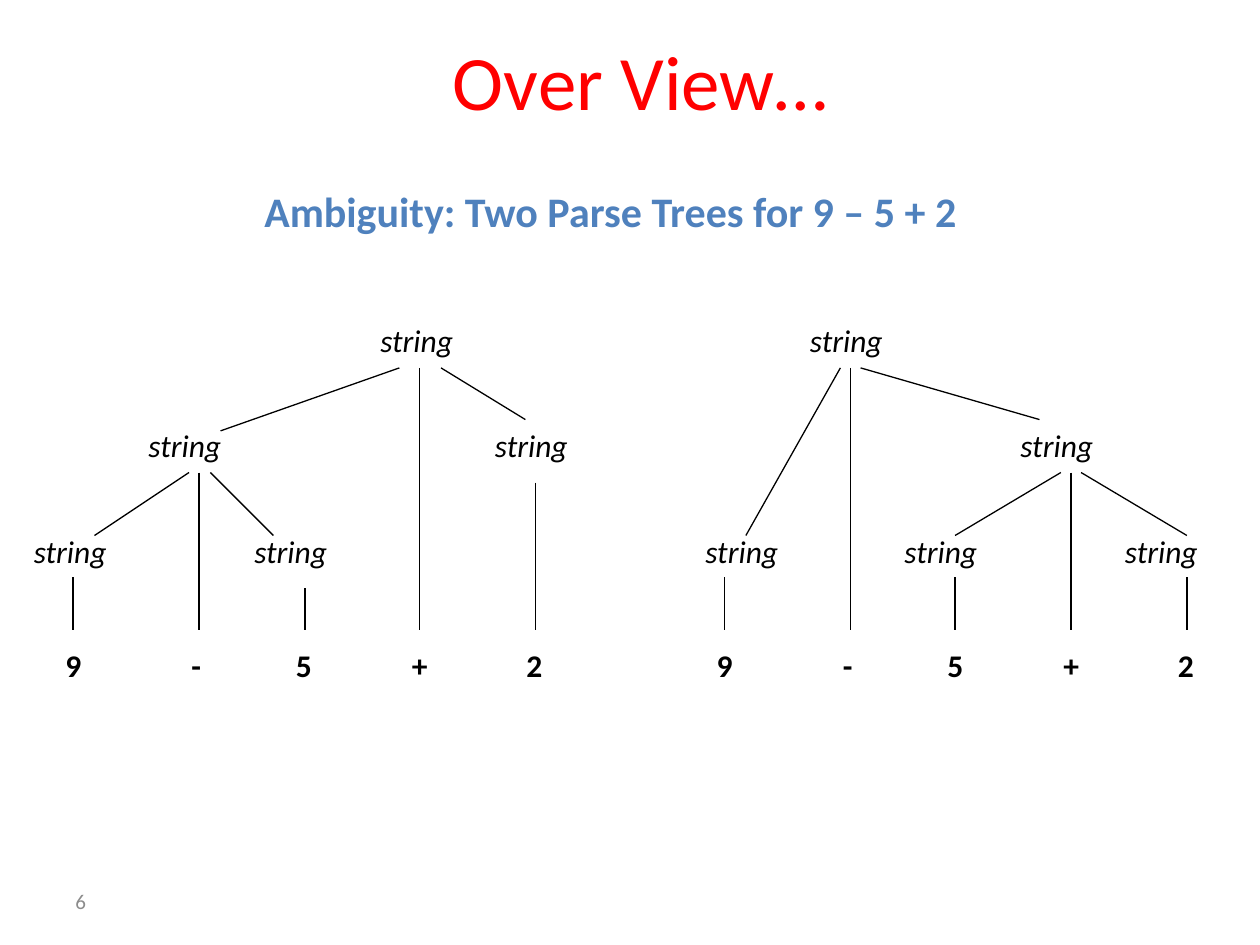
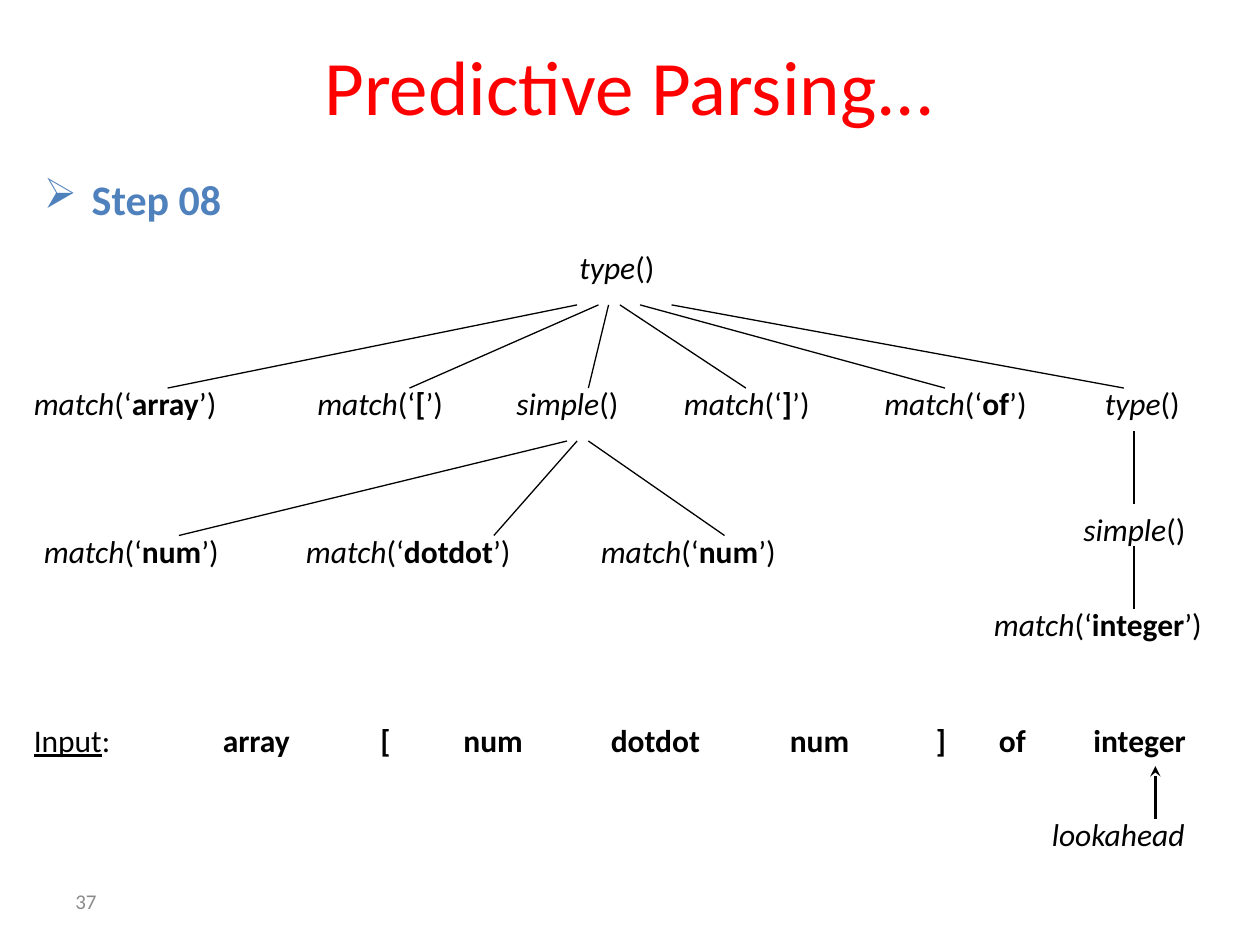
from lxml import etree
from pptx import Presentation
from pptx.dml.color import RGBColor
from pptx.enum.shapes import MSO_CONNECTOR as Connector
from pptx.enum.text import MSO_ANCHOR as Anchor, MSO_AUTO_SIZE as AutoSize, PP_ALIGN as Align
from pptx.oxml.ns import qn
from pptx.util import Inches, Pt

RED = RGBColor(0xFF, 0x00, 0x00)
BLUE = RGBColor(0x4F, 0x81, 0xBD)
GREY = RGBColor(0x8C, 0x8C, 0x8C)
BLACK = RGBColor(0x00, 0x00, 0x00)
FONT = "Calibri"
ITALIC, BOLD, PLAIN = {"italic": True}, {"bold": True}, {}

TREE_SHIFT = 5.17
LEAF_TOP, LEAF_LINE = 5.08, 5
LEAVES = [("9", 0.42, 0.37), ("-", 1.42, 0.31), ("5", 2.25, 0.37), ("+", 3.17, 0.39), ("2", 4.08, 0.37)]

LEFT_NODES = [(2.92, 2.5), (3.83, 3.33), (1.08, 3.33), (0.17, 4.17), (1.92, 4.17)]
LEFT_BRANCHES = [
    (3.17, 2.92, 1.75, 3.42), (3.5, 2.92, 4.17, 3.33),
    (1.5, 3.75, 0.75, 4.25), (1.67, 3.75, 2.17, 4.25),
]
LEFT_STEMS = [(0.58, 4.58), (1.58, 3.75), (2.42, 4.67), (3.33, 2.92), (4.25, 3.83)]

RIGHT_NODES = [(6.33, 2.5), (8, 3.33), (5.5, 4.17), (7.08, 4.17), (8.83, 4.17)]
RIGHT_BRANCHES = [
    (6.83, 2.92, 8.25, 3.33), (6.67, 2.92, 5.92, 4.25),
    (8.42, 3.75, 7.58, 4.25), (8.58, 3.75, 9.42, 4.25),
]
RIGHT_STEMS = [(5.75, 4.58), (6.75, 2.92), (7.58, 4.58), (8.5, 3.75), (9.42, 4.58)]

INPUT_TOKENS = [
    ("array", 1.67, 1), ("[", 2.92, 0.31), ("num", 3.58, 0.85), ("dotdot", 4.75, 1.13),
    ("num", 6.17, 0.85), ("]", 7.33, 0.31), ("of", 7.83, 0.48), ("integer", 8.58, 1.2),
]
MATCH_CALLS = [
    ("array", 0.17, 3, 2.26), ("[", 2.42, 3, 1.57), ("]", 5.33, 3, 1.57), ("of", 6.92, 3, 1.74),
    ("num", 0.25, 4.17, 2.11), ("dotdot", 2.33, 4.17, 2.39), ("num", 4.67, 4.17, 2.11),
    ("integer", 7.79, 4.75, 2.04),
]
PLAIN_CALLS = [("type", 4.5, 1.92, 0.98), ("simple", 4, 3, 1.29), ("type", 8.67, 3, 0.98), ("simple", 8.5, 4, 1.08)]


def add_text(slide, box, runs, size=18, color=BLACK, align=Align.LEFT,
             anchor=Anchor.TOP, wrap=False, bullet=None):
    """Add a text box whose runs are (text, font format) pairs."""
    frame = slide.shapes.add_textbox(*map(Inches, box)).text_frame
    frame.word_wrap = wrap
    frame.auto_size = AutoSize.NONE if wrap else AutoSize.SHAPE_TO_FIT_TEXT
    frame.vertical_anchor = anchor
    paragraph = frame.paragraphs[0]
    paragraph.alignment = align
    if bullet:
        properties = paragraph._p.get_or_add_pPr()
        properties.set("marL", str(Inches(0.38)))
        properties.set("indent", str(-Inches(0.38)))
        etree.SubElement(properties, qn("a:buChar"), char=bullet)
    for text, font_format in runs:
        run = paragraph.add_run()
        run.text = text
        run.font.name, run.font.size = FONT, Pt(size)
        run.font.color.rgb = color
        for attribute, value in font_format.items():
            setattr(run.font, attribute, value)


def add_line(slide, x1, y1, x2, y2, width=0.75, arrow=False):
    """Draw a black straight line, optionally with an arrowhead at its start."""
    line = slide.shapes.add_connector(Connector.STRAIGHT, *map(Inches, (x1, y1, x2, y2)))
    line.line.color.rgb = BLACK
    line.line.width = Pt(width)
    if arrow:
        etree.SubElement(line.line._get_or_add_ln(), qn("a:headEnd"), type="stealth")
    etree.SubElement(line._element.spPr, qn("a:effectLst"))


def add_fan(slide, starts, y1, ends, y2):
    """Draw one branch from each start to its end between two levels."""
    for x1, x2 in zip(starts, ends):
        add_line(slide, x1, y1, x2, y2)


def add_slide(deck, title, title_box, number):
    """Add a blank slide with the shared title style and page number."""
    slide = deck.slides.add_slide(deck.slide_layouts[6])
    add_text(slide, title_box, [(title, PLAIN)], size=44, color=RED,
             align=Align.CENTER, anchor=Anchor.MIDDLE, wrap=True)
    add_text(slide, (0.5, 6.95, 2.33, 0.4), [(number, PLAIN)], size=12, color=GREY,
             anchor=Anchor.MIDDLE, wrap=True)
    return slide


def add_parse_tree(slide, nodes, branches, stems, shift=0):
    """Draw a parse tree of string nodes above the leaves of 9 - 5 + 2."""
    for left, top in nodes:
        add_text(slide, (left, top, 0.98, 0.5), [("string", ITALIC)])
    for symbol, left, width in LEAVES:
        add_text(slide, (left + shift, LEAF_TOP, width, 0.5), [(symbol, BOLD)])
    for branch in branches:
        add_line(slide, *branch)
    for x, top in stems:
        add_line(slide, x, top, x, LEAF_LINE)


def build_ambiguity(deck):
    """Build the slide that compares two parse trees."""
    slide = add_slide(deck, "Over View…", (0.5, 0.17, 9.17, 0.92), "6")
    add_text(slide, (2, 1.42, 5.74, 0.5), [("Ambiguity: Two Parse Trees for 9 – 5 + 2", BOLD)],
             size=24, color=BLUE)
    add_parse_tree(slide, LEFT_NODES, LEFT_BRANCHES, LEFT_STEMS)
    add_parse_tree(slide, RIGHT_NODES, RIGHT_BRANCHES, RIGHT_STEMS, shift=TREE_SHIFT)


def build_predictive_parsing(deck):
    """Build the slide with the call tree and its input tokens."""
    slide = add_slide(deck, "Predictive Parsing...", (0.5, 0.17, 9, 1), "37")
    add_text(slide, (0.25, 1.33, 9.5, 5.42), [("Step 08", BOLD)], size=24, color=BLUE,
             wrap=True, bullet="➢")

    for name, left, top, width in PLAIN_CALLS:
        add_text(slide, (left, top, width, 0.5), [(name, ITALIC), ("()", PLAIN)])
    for token, left, top, width in MATCH_CALLS:
        add_text(slide, (left, top, width, 0.5),
                 [("match", ITALIC), ("(‘", PLAIN), (token, BOLD), ("’)", PLAIN)])
    add_fan(slide, (4.58, 4.75, 4.83, 4.92, 5.08, 5.33), 2.42,
            (1.33, 3.25, 4.67, 5.92, 7.5, 8.92), 3.08)
    add_fan(slide, (4.5, 4.58, 4.67), 3.5, (1.42, 3.92, 5.75), 4.25)
    add_line(slide, 9, 3.42, 9, 4)
    add_line(slide, 9, 4.33, 9, 4.83)

    add_text(slide, (0.17, 5.67, 1, 0.5), [("Input", {"underline": True}), (":", PLAIN)])
    for token, left, width in INPUT_TOKENS:
        add_text(slide, (left, 5.67, width, 0.5), [(token, BOLD)])
    add_text(slide, (8.25, 6.42, 1.59, 0.5), [("lookahead", ITALIC)])
    add_line(slide, 9.17, 6.08, 9.17, 6.5, width=2, arrow=True)


def main():
    """Build both slides and save the deck."""
    deck = Presentation()
    deck.slide_width, deck.slide_height = Inches(10), Inches(7.5)
    build_ambiguity(deck)
    build_predictive_parsing(deck)
    deck.save("out.pptx")


if __name__ == "__main__":
    main()
